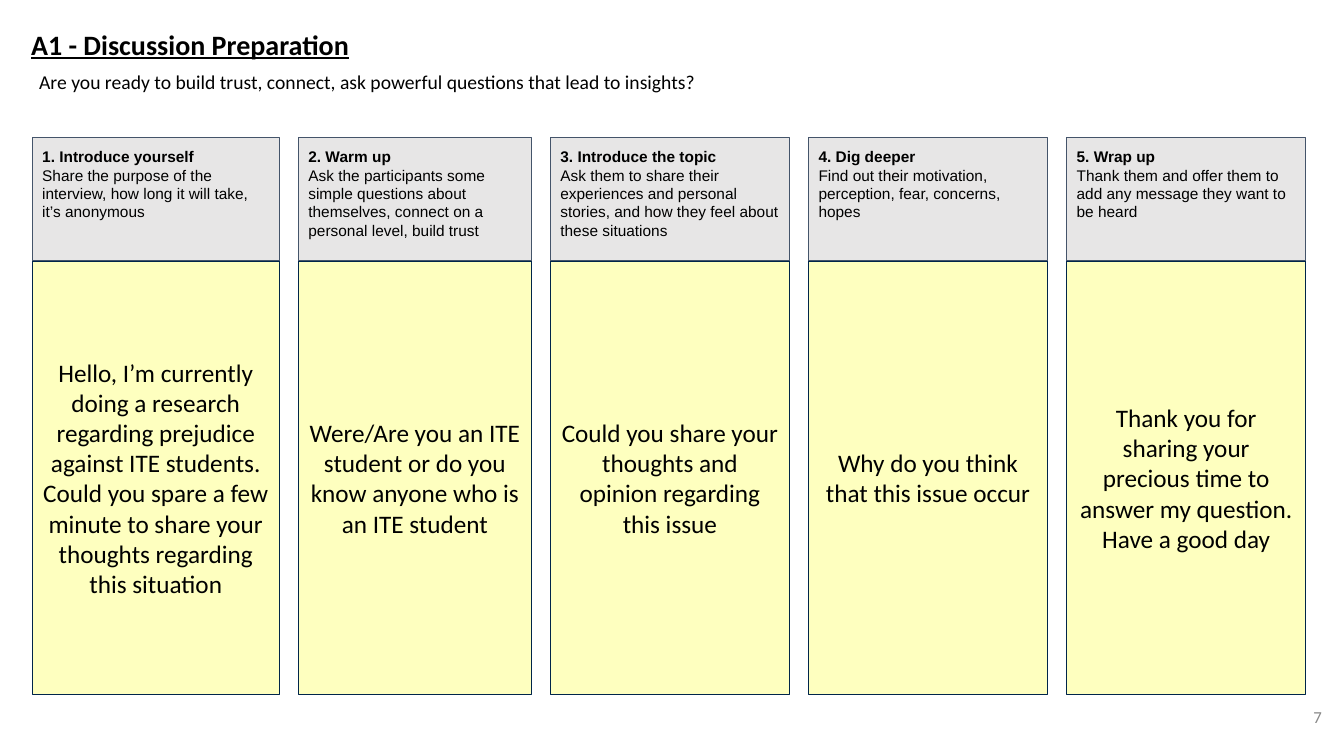
import pptx
import pptx.util
import pptx.dml.color
import pptx.enum.shapes
import pptx.enum.text

PX = 9144
INK = {"text": "000000", "page": "888888", "note": "FEFFBF", "edge": "00254A",
       "head": "E7E6E6", "rim": "44546A"}
ALIGN = pptx.enum.text.PP_ALIGN
ANCHOR = pptx.enum.text.MSO_ANCHOR
LEFT, GAP = 32, 19
STEPS = [
    (245, "1. Introduce yourself",
     "Share the purpose of the interview, how long it will take, it’s anonymous",
     "Hello, I’m currently doing a research regarding prejudice against ITE students. "
     "Could you spare a few minute to share your thoughts regarding this situation"),
    (231, "2. Warm up",
     "Ask the participants some simple questions about themselves, "
     "connect on a personal level, build trust",
     "Were/Are you an ITE student or do you know anyone who is an ITE student"),
    (237, "3. Introduce the topic",
     "Ask them to share their experiences and personal stories, "
     "and how they feel about these situations",
     "Could you share your thoughts and opinion regarding this issue"),
    (237, "4. Dig deeper",
     "Find out their motivation, perception, fear, concerns, hopes",
     "Why do you think that this issue occur"),
    (237, "5. Wrap up",
     "Thank them and offer them to add any message they want to be heard",
     "Thank you for sharing your precious time to answer my question. Have a good day"),
]


def color(name):
    """Return the named colour."""
    return pptx.dml.color.RGBColor.from_string(INK[name])


def place(*spot):
    """Turn px lengths into EMU."""
    return [n * PX for n in spot]


def write(shape, text, size, font="Calibri", ink="text", align=ALIGN.LEFT,
          anchor=ANCHOR.TOP, inset=5):
    """Fill a shape with text in one style and return its frame."""
    frame = shape.text_frame
    frame.text = text
    frame.word_wrap = True
    frame.vertical_anchor = anchor
    frame.margin_left = frame.margin_right = 10 * PX
    frame.margin_top = frame.margin_bottom = inset * PX
    for para in frame.paragraphs:
        para.alignment = align
        for run in para.runs:
            run.font.size = pptx.util.Pt(size)
            run.font.name = font
            run.font.color.rgb = color(ink)
    return frame


def label(slide, spot, text, size, **style):
    """Add a text box."""
    return write(slide.shapes.add_textbox(*place(*spot)), text, size, **style)


def panel(slide, spot, fill, line, width):
    """Add an outlined rectangle."""
    kind = pptx.enum.shapes.MSO_SHAPE.RECTANGLE
    box = slide.shapes.add_shape(kind, *place(*spot))
    box.shadow.inherit = False
    box.fill.solid()
    box.fill.fore_color.rgb = color(fill)
    box.line.color.rgb = color(line)
    box.line.width = pptx.util.Pt(width)
    return box


def step(slide, left, wide, title, hint, reply):
    """Add one column with its guide above its reply."""
    note = panel(slide, (left, 259, wide, 430), "note", "edge", 1)
    write(note, reply, 18, align=ALIGN.CENTER, anchor=ANCHOR.MIDDLE)
    head = panel(slide, (left, 136, wide, 123), "head", "rim", 0.75)
    frame = write(head, f"{title}\n{hint}", 11, font="Arial", inset=10)
    frame.paragraphs[0].runs[0].font.bold = True


def main():
    """Build and save the slide."""
    deck = pptx.Presentation()
    deck.slide_width, deck.slide_height = place(1333, 750)
    slide = deck.slides.add_slide(deck.slide_layouts[6])
    title = label(slide, (21, 22, 1069, 44), "A1 - Discussion Preparation", 20)
    font = title.paragraphs[0].runs[0].font
    font.bold = font.underline = True
    label(slide, (29, 59, 836, 44),
          "Are you ready to build trust, connect, ask powerful questions "
          "that lead to insights?", 14, inset=10)
    left = LEFT
    for wide, *texts in STEPS:
        step(slide, left, wide, *texts)
        left += wide + GAP
    label(slide, (1021, 691, 300, 40), "7", 12, ink="page", align=ALIGN.RIGHT,
          anchor=ANCHOR.MIDDLE)
    deck.save("out.pptx")


if __name__ == "__main__":
    main()
